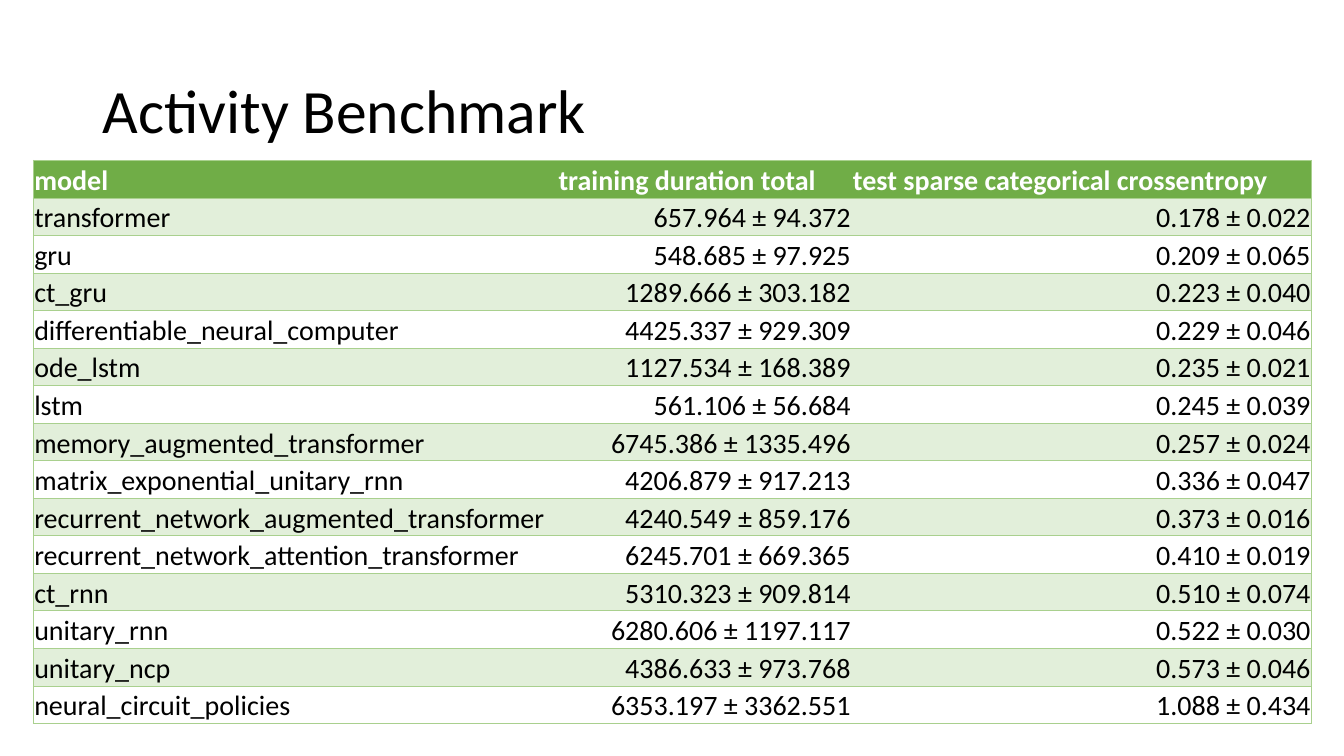
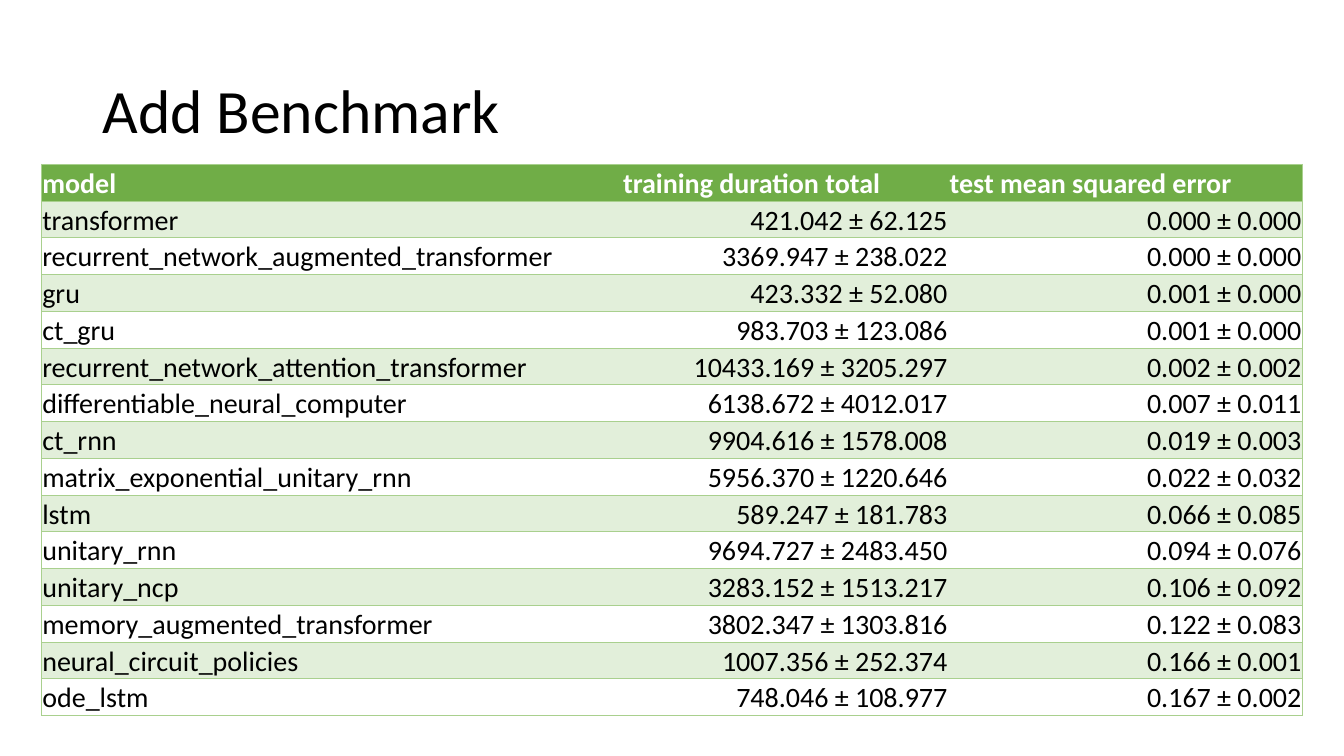
from lxml import etree
from pptx import Presentation
from pptx.dml.color import RGBColor
from pptx.enum.text import MSO_ANCHOR, PP_ALIGN
from pptx.oxml.ns import qn
from pptx.util import Inches, Pt

MIDDLE, BOTTOM = MSO_ANCHOR.MIDDLE, MSO_ANCHOR.BOTTOM
LEFT, RIGHT = PP_ALIGN.LEFT, PP_ALIGN.RIGHT

BLACK = RGBColor(0x00, 0x00, 0x00)
WHITE = RGBColor(0xFF, 0xFF, 0xFF)
GREEN = RGBColor(0x70, 0xAD, 0x47)
PALE_GREEN = RGBColor(0xE2, 0xEF, 0xDA)
BORDER_GREEN = RGBColor(0xA9, 0xD0, 0x8E)

ACTIVITY_ROWS = [
    ("model", "training duration total", "test sparse categorical crossentropy"),
    ("transformer", "657.964 ± 94.372", "0.178 ± 0.022"),
    ("gru", "548.685 ± 97.925", "0.209 ± 0.065"),
    ("ct_gru", "1289.666 ± 303.182", "0.223 ± 0.040"),
    ("differentiable_neural_computer", "4425.337 ± 929.309", "0.229 ± 0.046"),
    ("ode_lstm", "1127.534 ± 168.389", "0.235 ± 0.021"),
    ("lstm", "561.106 ± 56.684", "0.245 ± 0.039"),
    ("memory_augmented_transformer", "6745.386 ± 1335.496", "0.257 ± 0.024"),
    ("matrix_exponential_unitary_rnn", "4206.879 ± 917.213", "0.336 ± 0.047"),
    ("recurrent_network_augmented_transformer", "4240.549 ± 859.176", "0.373 ± 0.016"),
    ("recurrent_network_attention_transformer", "6245.701 ± 669.365", "0.410 ± 0.019"),
    ("ct_rnn", "5310.323 ± 909.814", "0.510 ± 0.074"),
    ("unitary_rnn", "6280.606 ± 1197.117", "0.522 ± 0.030"),
    ("unitary_ncp", "4386.633 ± 973.768", "0.573 ± 0.046"),
    ("neural_circuit_policies", "6353.197 ± 3362.551", "1.088 ± 0.434"),
]

ADD_ROWS = [
    ("model", "training duration total", "test mean squared error"),
    ("transformer", "421.042 ± 62.125", "0.000 ± 0.000"),
    ("recurrent_network_augmented_transformer", "3369.947 ± 238.022", "0.000 ± 0.000"),
    ("gru", "423.332 ± 52.080", "0.001 ± 0.000"),
    ("ct_gru", "983.703 ± 123.086", "0.001 ± 0.000"),
    ("recurrent_network_attention_transformer", "10433.169 ± 3205.297", "0.002 ± 0.002"),
    ("differentiable_neural_computer", "6138.672 ± 4012.017", "0.007 ± 0.011"),
    ("ct_rnn", "9904.616 ± 1578.008", "0.019 ± 0.003"),
    ("matrix_exponential_unitary_rnn", "5956.370 ± 1220.646", "0.022 ± 0.032"),
    ("lstm", "589.247 ± 181.783", "0.066 ± 0.085"),
    ("unitary_rnn", "9694.727 ± 2483.450", "0.094 ± 0.076"),
    ("unitary_ncp", "3283.152 ± 1513.217", "0.106 ± 0.092"),
    ("memory_augmented_transformer", "3802.347 ± 1303.816", "0.122 ± 0.083"),
    ("neural_circuit_policies", "1007.356 ± 252.374", "0.166 ± 0.001"),
    ("ode_lstm", "748.046 ± 108.977", "0.167 ± 0.002"),
]


class Deck:
    font = "Calibri"
    title_size = Pt(44)
    table_size = Pt(20)
    border_width = Pt(0.5)

    def __init__(self):
        self.prs = Presentation()
        self.prs.slide_width = Inches(13.33)
        self.prs.slide_height = Inches(7.5)
        self.s = None

    def new_slide(self):
        self.s = self.prs.slides.add_slide(self.prs.slide_layouts[6])

    def style_runs(self, p, size, color, bold=False):
        for r in p.runs:
            r.font.name = self.font
            r.font.size = size
            r.font.bold = bold
            r.font.color.rgb = color

    def title(self, text):
        box = self.s.shapes.add_textbox(Inches(0.92), Inches(0.4), Inches(11.5), Inches(1.45))
        tf = box.text_frame
        tf.word_wrap = True
        tf.vertical_anchor = MIDDLE
        tf.text = text
        p = tf.paragraphs[0]
        p.line_spacing = 0.9
        self.style_runs(p, self.title_size, BLACK)

    def borders(self, cell, sides):
        tc_pr = cell._tc.get_or_add_tcPr()
        for side in "LRTB":
            ln = etree.SubElement(tc_pr, qn(f"a:ln{side}"), w=str(int(self.border_width)))
            if side in sides:
                fill = etree.SubElement(ln, qn("a:solidFill"))
                etree.SubElement(fill, qn("a:srgbClr"), val=str(BORDER_GREEN))
            else:
                etree.SubElement(ln, qn("a:noFill"))

    def cell(self, cell, text, fill, color, align, bold, sides):
        cell.margin_left = cell.margin_right = cell.margin_top = Inches(0.01)
        cell.margin_bottom = 0
        cell.vertical_anchor = BOTTOM
        self.borders(cell, sides)
        cell.fill.solid()
        cell.fill.fore_color.rgb = fill
        cell.text_frame.text = text
        p = cell.text_frame.paragraphs[0]
        p.alignment = align
        self.style_runs(p, self.table_size, color, bold)

    def table(self, left, top, height, widths, rows):
        frame = self.s.shapes.add_table(
            len(rows), len(widths), Inches(left), Inches(top), Inches(sum(widths)), Inches(height)
        )
        table = frame.table
        table.horz_banding = False
        for column, width in zip(table.columns, widths):
            column.width = Inches(width)
        column_sides = ["LTB", "TB", "RTB"]
        for i, row in enumerate(rows):
            header = i == 0
            fill = GREEN if header else PALE_GREEN if i % 2 else WHITE
            color = WHITE if header else BLACK
            for j, text in enumerate(row):
                align = LEFT if header or j == 0 else RIGHT
                self.cell(table.cell(i, j), text, fill, color, align, header, column_sides[j])


def main():
    deck = Deck()
    benchmarks = [
        ("Activity Benchmark", 0.33, 1.59, 5.59, (5.2, 2.92, 4.56), ACTIVITY_ROWS),
        ("Add Benchmark", 0.41, 1.63, 5.47, (5.76, 3.24, 3.51), ADD_ROWS),
    ]
    for title, left, top, height, widths, rows in benchmarks:
        deck.new_slide()
        deck.title(title)
        deck.table(left, top, height, widths, rows)
    deck.prs.save("out.pptx")


if __name__ == "__main__":
    main()
